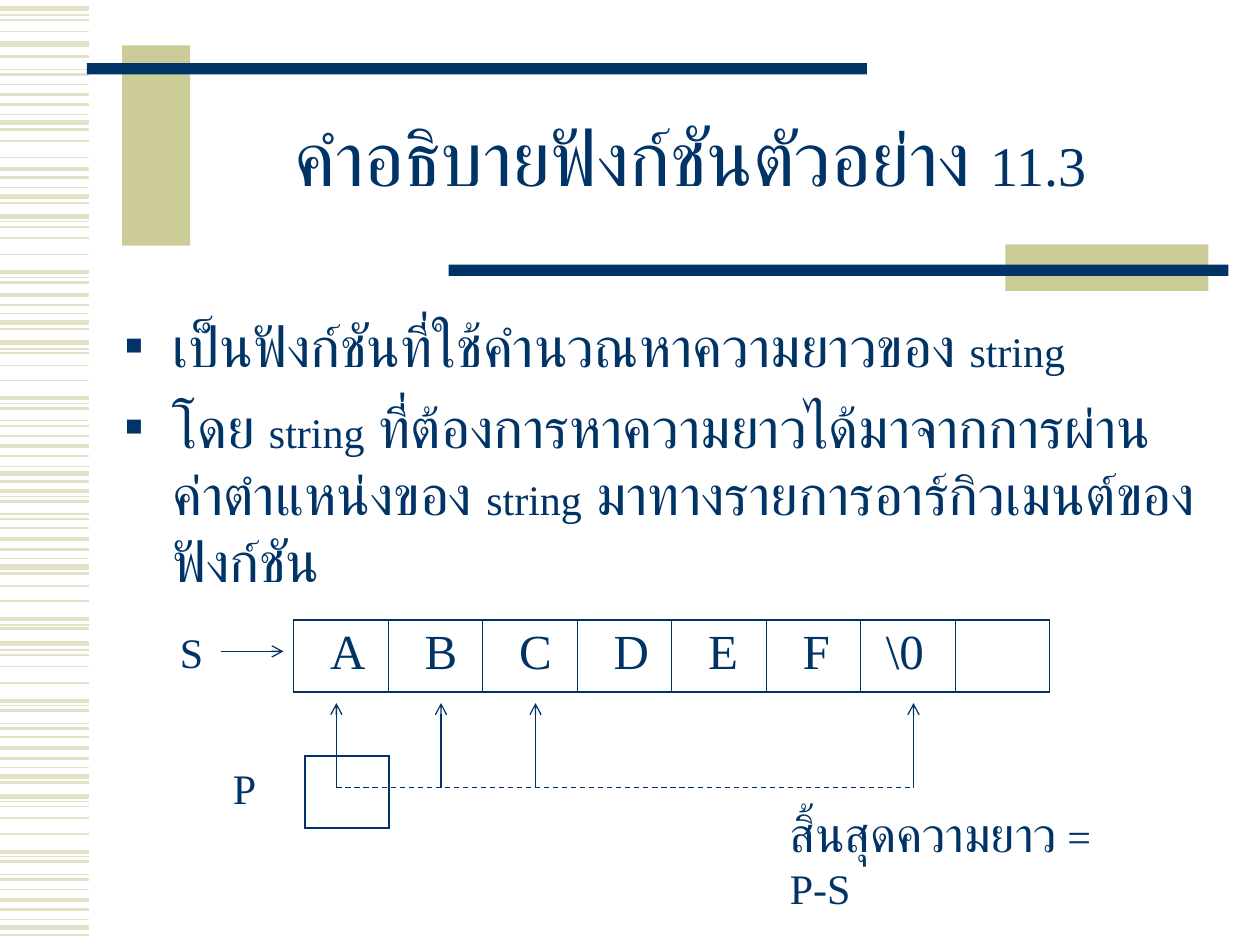
from dataclasses import dataclass

from lxml.etree import SubElement
from pptx import Presentation
from pptx.dml.color import RGBColor
from pptx.enum.dml import MSO_LINE
from pptx.enum.shapes import MSO_CONNECTOR, MSO_SHAPE
from pptx.enum.text import MSO_ANCHOR, PP_ALIGN
from pptx.oxml import parse_xml
from pptx.oxml.ns import nsdecls, qn
from pptx.util import Inches, Pt


@dataclass
class Theme:
    navy: str = "003366"
    khaki: str = "CCCC99"
    stripe: str = "E3E2C7"
    font: str = "Times New Roman"
    title: int = 44
    body: int = 32
    cell: int = 28
    small: int = 24
    line: float = 0.74
    border: float = 1.08
    thin_border: float = 0.45


theme = Theme()


def add_line(start, end, color, width, arrow=False):
    """Draw a straight line between two points in inches."""
    line = slide.shapes.add_connector(
        MSO_CONNECTOR.STRAIGHT, *[Inches(value) for value in (*start, *end)])
    line.line.color.rgb = RGBColor.from_string(color)
    line.line.width = Pt(width)
    properties = line.line._get_or_add_ln()
    if arrow:
        SubElement(properties, qn("a:tailEnd"), type="arrow")
    SubElement(line._element.spPr, qn("a:effectLst"))
    return line


def write(para, spans, space_before=0):
    """Fill a paragraph with (text, size) spans in the theme font."""
    para.space_before = Pt(space_before)
    for text, size in spans:
        span = para.add_run()
        span.text = text
        span.font.size = Pt(size)
        span.font.name = theme.font
        span.font.color.rgb = RGBColor.from_string(theme.navy)
        SubElement(span.font._element, qn("a:cs"), typeface=theme.font)


deck = Presentation()
deck.slide_width, deck.slide_height = Inches(10), Inches(7.5)
slide = deck.slides.add_slide(deck.slide_layouts[6])

# Striped left margin: line width -> heights on the page
stripes = {
    3: [0.07, 0.35, 0.97, 1.56, 1.72, 2.56, 2.72, 3.76, 4.5, 5.11, 6.16, 6.32, 7.36],
    2.24: [0.75, 1.34, 2.16, 2.34, 3.16, 3.54, 3.9, 4.28, 4.91, 5.56, 5.94, 6.76, 7.14],
    1.5: [0.45, 0.59, 0.83, 1.03, 1.41, 1.61, 2.24, 2.42, 2.61, 3.24, 3.38, 3.62, 3.82,
          3.98, 4.12, 4.36, 4.55, 4.99, 5.64, 5.78, 6.02, 6.21, 6.84, 6.98, 7.22, 7.42],
    0.99: [0.16, 0.25, 0.67, 1.12, 1.25, 1.8, 1.89, 2.02, 2.8, 2.9, 3.02, 3.46, 4.19,
           4.65, 4.77, 5.2, 5.29, 5.42, 5.85, 6.4, 6.49, 6.62, 7.06],
    0.74: [0.12, 0.55, 0.91, 1.49, 1.76, 2.2, 2.49, 2.77, 3.2, 3.34, 3.7, 3.94, 4.08,
           4.43, 4.96, 5.16, 5.6, 5.74, 6.09, 6.36, 6.8, 6.94, 7.3],
}
for width, heights in stripes.items():
    for y in heights:
        add_line((0, y), (0.71, y), theme.stripe, width)

# Title ornaments
for color, *place in [
    (theme.khaki, 0.97, 0.36, 0.54, 1.59),
    (theme.navy, 0.69, 0.5, 6.19, 0.09),
    (theme.khaki, 7.98, 1.94, 1.61, 0.37),
    (theme.navy, 3.56, 2.1, 6.19, 0.09),
]:
    bar = slide.shapes.add_shape(MSO_SHAPE.RECTANGLE, *[Inches(value) for value in place])
    bar.shadow.inherit = False
    bar.fill.solid()
    bar.fill.fore_color.rgb = RGBColor.from_string(color)
    bar.line.fill.background()

# Text boxes: place, space before, paragraphs of spans
title_spans = [("คำอธิบายฟังก์ชันตัวอย่าง ", theme.title), ("11.3 ", theme.body)]
body_paras = [
    [("เป็นฟังก์ชันที่ใช้คำนวณหาความยาวของ ", theme.body), ("string", theme.small)],
    [("โดย ", theme.body), ("string", theme.small),
     (" ที่ต้องการหาความยาวได้มาจากการผ่านค่าตำแหน่งของ ", theme.body),
     ("string", theme.small),
     (" มาทางรายการอาร์กิวเมนต์ของฟังก์ชัน", theme.body)],
]
result_spans = [("สิ้นสุดความยาว", theme.cell), (" = P-S", theme.small)]
boxes = []
for place, space_before, paras in [
    ((1.5, 0.67, 8.07, 1.25), 0, [title_spans]),
    ((0.89, 2.42, 8.7, 4.24), 8, body_paras),
    ((1.33, 4.92, 0.42, 0.5), 15, [[("S", theme.small)]]),
    ((1.75, 6, 0.42, 0.5), 15, [[("P", theme.small)]]),
    ((6.17, 6.33, 2.92, 0.97), 15, [result_spans]),
]:
    box = slide.shapes.add_textbox(*[Inches(value) for value in place])
    frame = box.text_frame
    frame.word_wrap = True
    for index, spans in enumerate(paras):
        para = frame.add_paragraph() if index else frame.paragraphs[0]
        write(para, spans, space_before)
    boxes.append(box)

title_frame, body_frame = boxes[0].text_frame, boxes[1].text_frame
title_frame.vertical_anchor = MSO_ANCHOR.MIDDLE
title_frame.paragraphs[0].alignment = PP_ALIGN.CENTER
title_frame.paragraphs[0].line_spacing = 0.85
for para in body_frame.paragraphs:
    properties = para._p.get_or_add_pPr()
    properties.set("marL", str(Inches(0.38)))
    properties.set("indent", str(-Inches(0.38)))
    color = SubElement(properties, qn("a:buClr"))
    SubElement(color, qn("a:srgbClr"), val=theme.navy)
    SubElement(properties, qn("a:buFont"), typeface=theme.font)
    SubElement(properties, qn("a:buChar"), char="▪")

# String S and pointer P as tables; each cell holds its text and left margin
letters = [(letter, 0.29) for letter in "ABCDEF"] + [("\\0", 0.2), ("", 0.1)]
for left, top, cell_width, cells in [(2.33, 4.92, 0.75, letters), (2.42, 6, 0.67, [("", 0.1)])]:
    table = slide.shapes.add_table(
        1, len(cells), Inches(left), Inches(top),
        Inches(cell_width * len(cells)), Inches(0.57)).table
    table.first_row = table.horz_banding = False
    last = len(cells) - 1
    for index, (text, margin) in enumerate(cells):
        cell = table.cell(0, index)
        cell.margin_left = Inches(margin)
        if text:
            write(cell.text_frame.paragraphs[0], [(text, theme.cell)], 7)
        properties = cell._tc.get_or_add_tcPr()
        for side in "LRTB":
            inner = (side == "L" and index > 0) or (side == "R" and index < last)
            width = Pt(theme.thin_border if inner else theme.border)
            properties.append(parse_xml(
                f'<a:ln{side} {nsdecls("a")} w="{width}"><a:solidFill>'
                f'<a:srgbClr val="{theme.navy}"/></a:solidFill></a:ln{side}>'))
        cell.fill.background()

# Pointer arrows
add_line((1.75, 5.17), (2.25, 5.17), theme.navy, theme.line, arrow=True)
track = add_line((2.67, 6.25), (7.25, 6.25), theme.navy, theme.line)
track.line.dash_style = MSO_LINE.DASH
for x in (2.67, 3.5, 4.25, 7.25):
    add_line((x, 6.25), (x, 5.58), theme.navy, theme.line, arrow=True)

deck.save("out.pptx")
